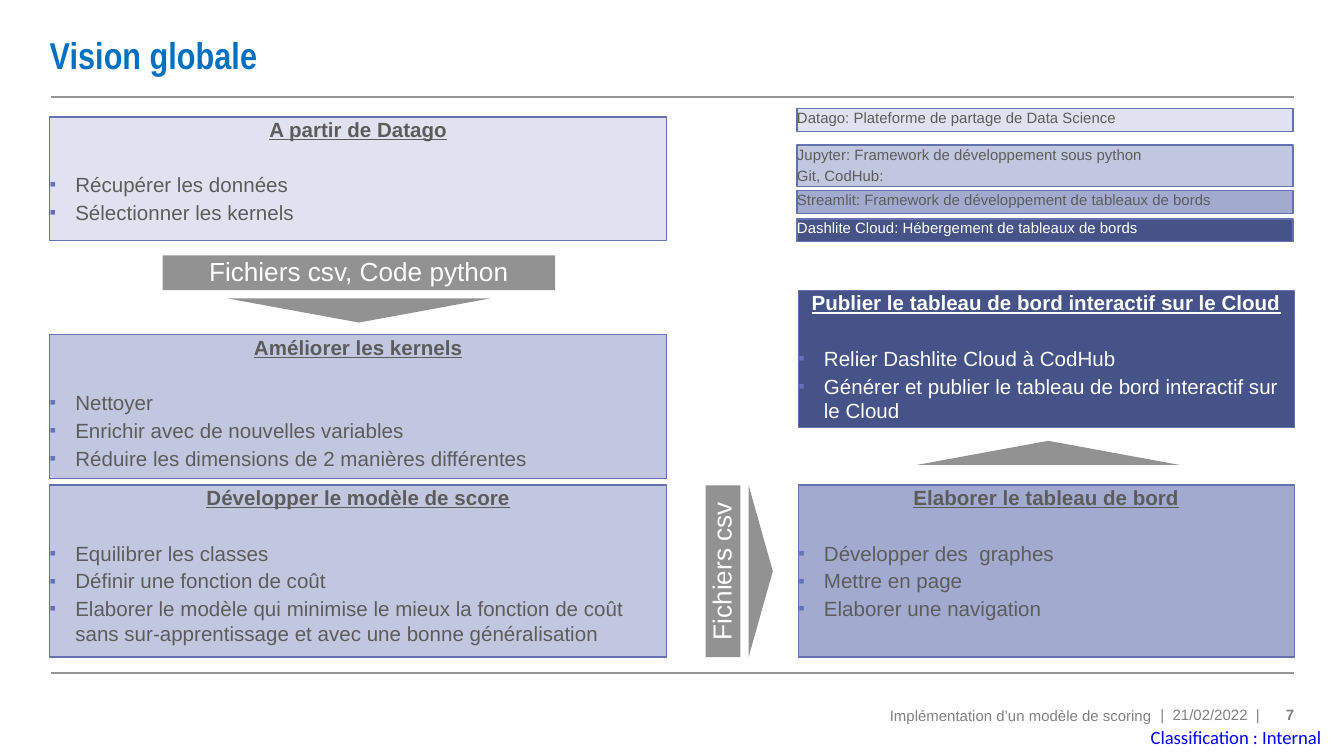
from lxml import etree
from pptx import Presentation
from pptx.dml.color import RGBColor
from pptx.enum.shapes import MSO_CONNECTOR, MSO_SHAPE
from pptx.enum.text import MSO_ANCHOR, PP_ALIGN
from pptx.oxml.ns import qn
from pptx.util import Inches, Pt

COLORS = {
    "source": "E0E3EF", "model": "C1C7DF", "dashboard": "A2ABCF", "cloud": "465388",
    "border": "6473AF", "arrow": "929292", "rule": "939598", "title": "0070C0",
    "text": "5C5C5C", "white": "FFFFFF", "footer": "808080", "label": "0000FF",
}
LEFT, RIGHT = 0.37, 5.94
WIDE, NARROW = 4.59, 3.69


def add_box(shape_type, at, fill, line=None, rotation=0):
    sp = s.shapes.add_shape(shape_type, *[Inches(v) for v in at])
    sp.shadow.inherit = False
    sp.rotation = rotation
    sp.fill.solid()
    sp.fill.fore_color.rgb = RGBColor.from_string(COLORS[fill])
    if line:
        sp.line.color.rgb = RGBColor.from_string(COLORS[line])
        sp.line.width = Pt(0.75)
    else:
        sp.line.fill.background()
    return sp


def write(sp, lines, size=11, color="text", font="Arial", bold=False, align=PP_ALIGN.LEFT,
          anchor=MSO_ANCHOR.TOP, wrap=True, before=0, right=0):
    """Fill a shape with one paragraph per line; only the right margin can differ from zero."""
    tf = sp.text_frame
    tf.margin_left = tf.margin_top = tf.margin_bottom = 0
    tf.margin_right = Inches(right)
    tf.word_wrap = wrap
    tf.vertical_anchor = anchor
    for i, line in enumerate(lines):
        p = tf.paragraphs[0] if i == 0 else tf.add_paragraph()
        p.alignment = align
        p.space_before = Pt(before)
        r = p.add_run()
        r.text = line
        r.font.size, r.font.name, r.font.bold = Pt(size), font, bold
        r.font.color.rgb = RGBColor.from_string(COLORS[color])
    return tf


prs = Presentation()
prs.slide_width = Inches(10)
prs.slide_height = Inches(10 * 9 / 16)
s = prs.slides.add_slide(prs.slide_layouts[5])

# Title and rules
title = s.shapes.title
title.left, title.top, title.width, title.height = [Inches(v) for v in (LEFT, 0.1, 9.25, 0.61)]
write(title, ["Vision globale"], size=20, color="title", font="Arial Narrow", bold=True,
      anchor=MSO_ANCHOR.MIDDLE)

for y in (0.72, 5.01):
    rule = s.shapes.add_connector(MSO_CONNECTOR.STRAIGHT, Inches(0.38), Inches(y),
                                  Inches(9.63), Inches(y))
    rule.line.color.rgb = RGBColor.from_string(COLORS["rule"])
    rule.line.width = Pt(1)
    etree.SubElement(rule._element.spPr, qn("a:effectLst"))

# Steps: position, fill, text colour, heading, bullets
steps = [
    ((LEFT, 0.87, WIDE, 0.92), "source", "text", "A partir de Datago",
     ["Récupérer les données", "Sélectionner les kernels"]),
    ((LEFT, 2.49, WIDE, 1.07), "model", "text", "Améliorer les kernels",
     ["Nettoyer", "Enrichir avec de nouvelles variables",
      "Réduire les dimensions de 2 manières différentes"]),
    ((LEFT, 3.61, WIDE, 1.28), "model", "text", "Développer le modèle de score",
     ["Equilibrer les classes", "Définir une fonction de coût",
      "Elaborer le modèle qui minimise le mieux la fonction de coût "
      "sans sur-apprentissage et avec une bonne généralisation"]),
    ((RIGHT, 3.61, NARROW, 1.28), "dashboard", "text", "Elaborer le tableau de bord",
     ["Développer des  graphes", "Mettre en page", "Elaborer une navigation"]),
    ((RIGHT, 2.16, NARROW, 1.02), "cloud", "white",
     "Publier le tableau de bord interactif sur le Cloud",
     ["Relier Dashlite Cloud à CodHub",
      "Générer et publier le tableau de bord interactif sur le Cloud"]),
]
for at, fill, color, heading, bullets in steps:
    sp = add_box(MSO_SHAPE.RECTANGLE, at, fill, "border")
    tf = write(sp, [heading, *bullets], color=color, before=1.7)
    head, *items = tf.paragraphs
    head.alignment = PP_ALIGN.CENTER
    head.space_after = Pt(14.8)
    head.runs[0].font.bold = head.runs[0].font.underline = True
    for p in items:
        pPr = p._p.get_or_add_pPr()
        pPr.set("marL", str(Inches(0.19)))
        pPr.set("indent", str(-Inches(0.19)))
        bullet_color = etree.SubElement(pPr, qn("a:buClr"))
        etree.SubElement(bullet_color, qn("a:srgbClr"), val=COLORS["border"])
        etree.SubElement(pPr, qn("a:buSzPct"), val="90000")
        etree.SubElement(pPr, qn("a:buFont"), typeface="Arial")
        etree.SubElement(pPr, qn("a:buChar"), char="▪")

# Tool legend
legend = [
    (0.81, 0.17, "source", "text", ["Datago: Plateforme de partage de Data Science"]),
    (1.08, 0.31, "model", "text",
     ["Jupyter: Framework de développement sous python", "Git, CodHub:"]),
    (1.42, 0.17, "dashboard", "text",
     ["Streamlit: Framework de développement de tableaux de bords"]),
    (1.63, 0.17, "cloud", "white", ["Dashlite Cloud: Hébergement de tableaux de bords"]),
]
for top, height, fill, color, lines in legend:
    sp = add_box(MSO_SHAPE.RECTANGLE, (5.93, top, NARROW, height), fill, "border")
    write(sp, lines, size=8, color=color, before=1.7)

# Arrows and the files they carry
for at, rotation in [((1.69, 2.22, 1.96, 0.18), 180), ((6.82, 3.28, 1.96, 0.18), 0),
                     ((5.02, 4.16, 1.28, 0.18), 90)]:
    add_box(MSO_SHAPE.ISOSCELES_TRIANGLE, at, "arrow", rotation=rotation)
for at, rotation, label in [((1.21, 1.9, 2.92, 0.26), 0, "Fichiers csv, Code python"),
                            ((4.74, 4.12, 1.28, 0.26), 270, "Fichiers csv")]:
    sp = add_box(MSO_SHAPE.RECTANGLE, at, "arrow", rotation=rotation)
    write(sp, [label], size=14, color="white", align=PP_ALIGN.CENTER, wrap=False)

# Footer
footer = [
    ((4.47, 5.21, 4.1, 0.23), "Implémentation d’un modèle de scoring", {}),
    ((8.62, 5.24, 0.77, 0.15), "|  21/02/2022  |", {"align": PP_ALIGN.CENTER, "wrap": False}),
    ((9.43, 5.24, 0.2, 0.15), "7", {"bold": True, "wrap": False}),
    ((8.4, 5.34, 1.6, 0.29), "Classification : Internal",
     {"size": 10, "font": "Calibri", "color": "label", "right": 0.17}),
]
for at, text, extra in footer:
    sp = s.shapes.add_textbox(*[Inches(v) for v in at])
    style = {"size": 8, "color": "footer", "align": PP_ALIGN.RIGHT, "anchor": MSO_ANCHOR.MIDDLE}
    write(sp, [text], **{**style, **extra})

prs.save("out.pptx")
